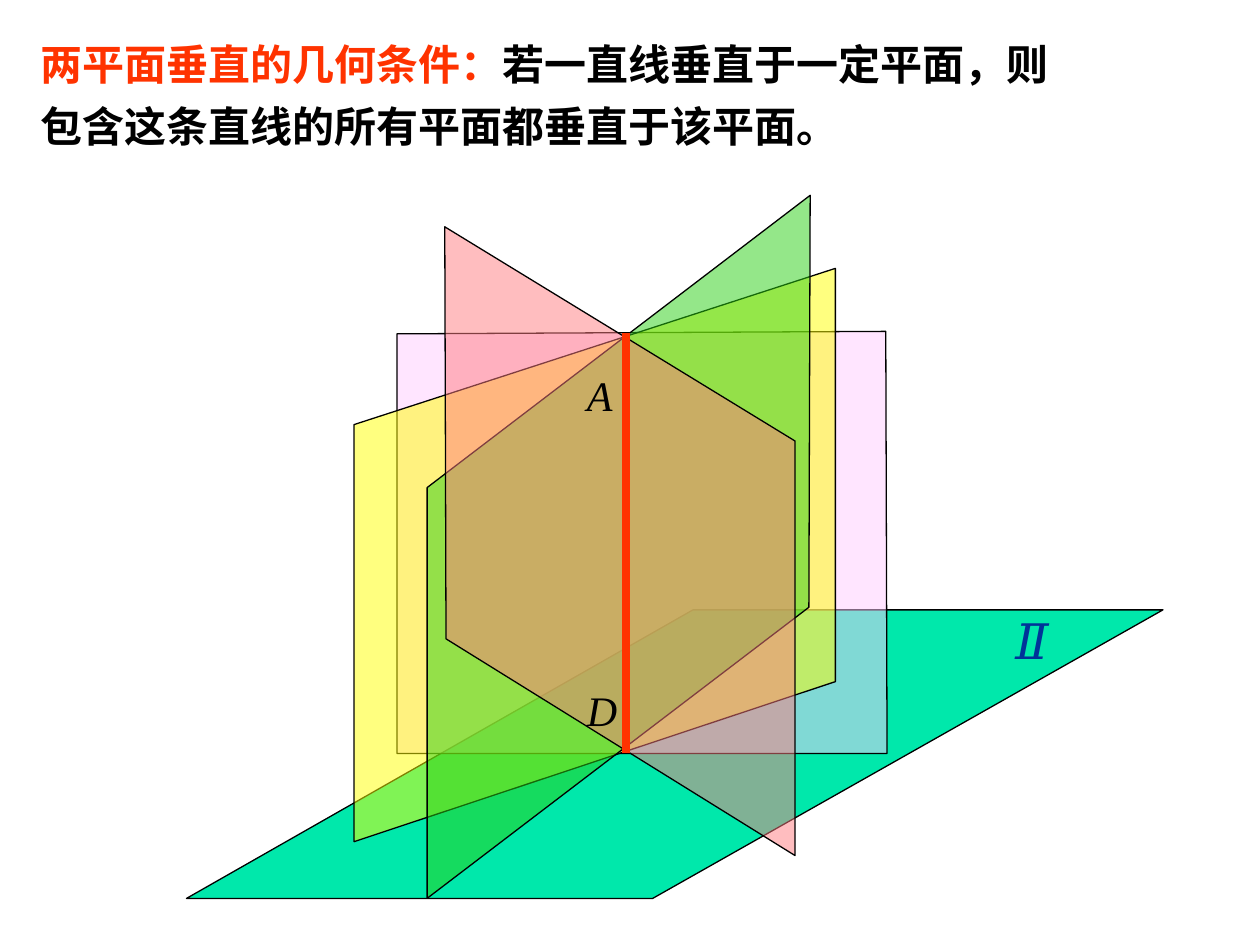
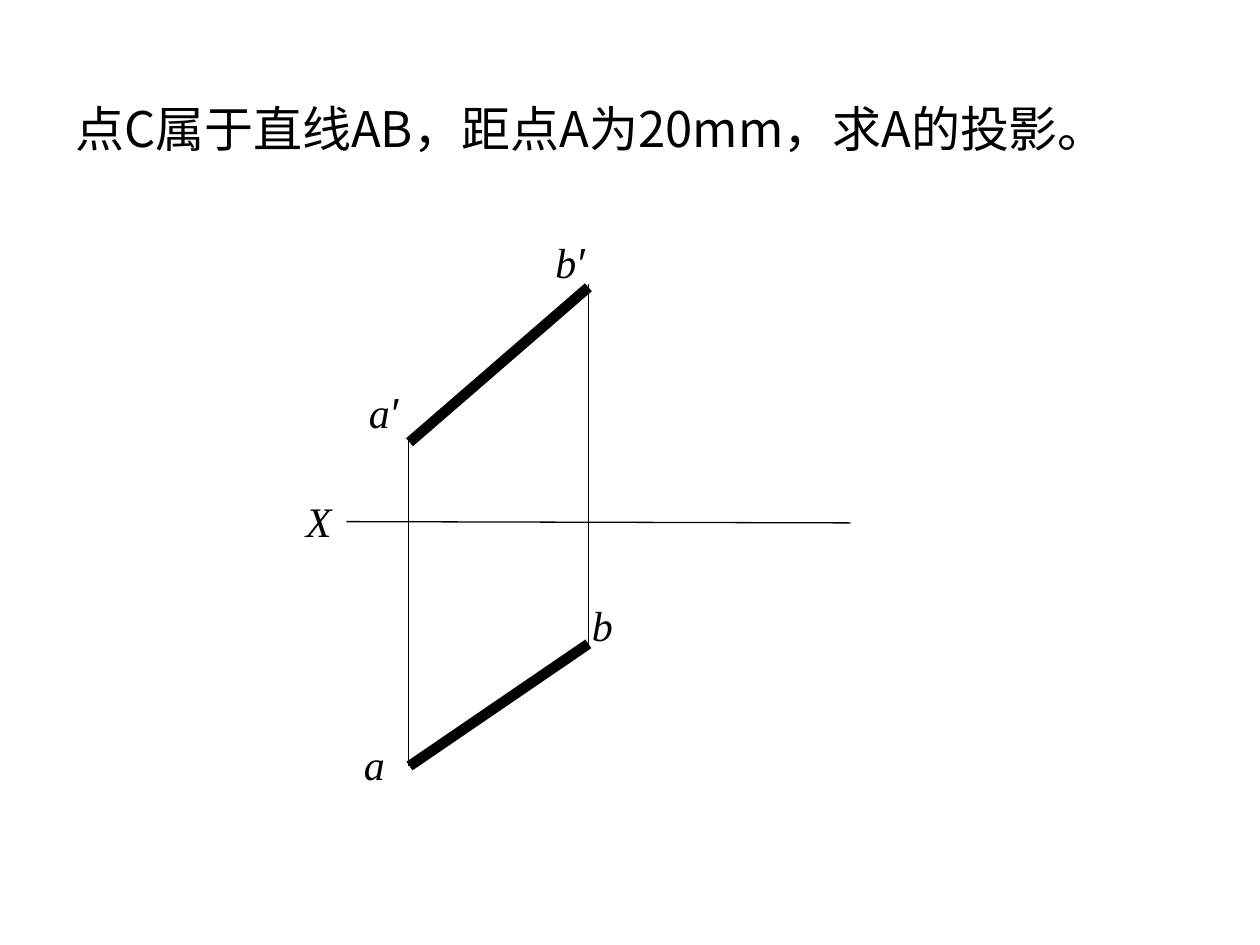
"""Builds two slides on perpendicular planes and points on a line."""
from lxml import etree
from pptx import Presentation
from pptx.dml.color import RGBColor
from pptx.enum.shapes import MSO_CONNECTOR
from pptx.enum.text import MSO_ANCHOR
from pptx.oxml.ns import qn
from pptx.util import Pt

PX = 9144
MIDDLE = MSO_ANCHOR.MIDDLE
TOP = MSO_ANCHOR.TOP
STRAIGHT = MSO_CONNECTOR.STRAIGHT
SANS, SERIF, HAN = "Arial", "Times New Roman", "Noto Sans CJK SC"
INK = {
    "black": "000000", "red": "FF3300", "blue": "003399", "ground": "00E8AB",
    "pink": "FFCCFF", "yellow": "FFFF00", "green": "2AD014", "rose": "FF7C80",
}


def tint(name):
    """Return the named colour."""
    return RGBColor.from_string(INK[name])


def style(run, face, size, hue="black", bold=False, slant=False):
    """Format one run."""
    font = run.font
    font.name, font.size = face, Pt(size)
    font.bold, font.italic = bold, slant
    font.color.rgb = tint(hue)


def frame(slide, box, anchor=TOP):
    """Add a wrapping text box and return its text frame."""
    text = slide.shapes.add_textbox(*(n * PX for n in box)).text_frame
    text.word_wrap = True
    text.vertical_anchor = anchor
    return text


def head(slide, box, parts, anchor=TOP, space=None):
    """Add a heading made of (text, style) parts."""
    para = frame(slide, box, anchor).paragraphs[0]
    para.line_spacing = space
    for words, look in parts:
        run = para.add_run()
        run.text = words
        style(run, **look)
        east = etree.SubElement(run.font._element, qn("a:ea"))
        east.set("typeface", HAN)


def label(slide, box, words, size=24, hue="black"):
    """Add an italic label, with any prime mark in the sans font."""
    para = frame(slide, box).paragraphs[0]
    for sign in words:
        run = para.add_run()
        run.text = sign
        style(run, SANS if sign == "′" else SERIF, size, hue, slant=True)


def stroke(slide, box, ends, width=0.75, hue="black"):
    """Draw a straight line between two points of the box."""
    x, y = box[:2]
    (ax, ay), (bx, by) = ends
    line = slide.shapes.add_connector(
        STRAIGHT, (x + ax) * PX, (y + ay) * PX, (x + bx) * PX, (y + by) * PX)
    line.line.color.rgb = tint(hue)
    line.line.width = Pt(width)
    etree.SubElement(line._element.spPr, qn("a:effectLst"))


def plane(slide, box, hue, points, clear=True):
    """Draw an outlined plane, half transparent when clear."""
    pen = slide.shapes.build_freeform(*points[0], scale=PX)
    pen.add_line_segments(points[1:], close=True)
    shape = pen.convert_to_shape(box[0] * PX, box[1] * PX)
    shape.shadow.inherit = False
    shape.fill.solid()
    shape.fill.fore_color.rgb = tint(hue)
    shape.line.color.rgb = tint("black")
    shape.line.width = Pt(0.75)
    if clear:
        color = shape._element.spPr.find(qn("a:solidFill"))[0]
        etree.SubElement(color, qn("a:alpha")).set("val", "50000")


def fan(slide, box):
    """Draw the planes through line AD, all square to plane Ⅱ."""
    x, y = box[:2]
    plane(slide, box, "ground",
          [(0, 558), (370, 558), (775, 329), (402, 329)], clear=False)
    label(slide, (x + 648, y + 325, 46, 57), "Ⅱ", 28, "blue")
    walls = {
        "pink": [(167, 110), (167, 443), (556, 443), (555, 108)],
        "yellow": [(133, 182), (133, 513), (515, 386), (515, 58)],
        "green": [(191, 232), (191, 558), (494, 327), (495, 0)],
        "rose": [(205, 25), (206, 352), (483, 524), (483, 195)],
    }
    for hue, points in walls.items():
        plane(slide, box, hue, points)
    for name, top in (("A", 133), ("D", 383)):
        label(slide, (x + 308, y + top, 60, 50), name)
    stroke(slide, box, [(349, 109), (349, 443)], 4.5, "red")


def views(slide, box):
    """Draw both projections of line AB about the X axis."""
    x, y = box[:2]
    thin = [
        [(91, 425), (91, 166)],
        [(442, 232), (42, 231)],
        [(234, 329), (234, 42)],
    ]
    thick = [[(234, 45), (92, 168)], [(92, 425), (234, 328)]]
    for width, lines in ((0.75, thin), (6, thick)):
        for ends in lines:
            stroke(slide, box, ends, width)
    names = [("X", 0, 205, 113), ("b′", 198, 0, 92), ("a′", 50, 119, 70),
             ("a", 46, 398, 58), ("b", 227, 288, 63)]
    for name, left, top, wide in names:
        label(slide, (x + left, y + top, wide, 50), name)


def main():
    """Build and save the deck."""
    deck = Presentation()
    deck.slide_width, deck.slide_height = 1000 * PX, 750 * PX
    blank = deck.slide_layouts[6]

    slide = deck.slides.add_slide(blank)
    fan(slide, (148, 155, 775, 558))
    bold = {"face": SANS, "size": 24, "bold": True}
    head(slide, (22, 16, 834, 130), [
        ("两平面垂直的几何条件：", {**bold, "hue": "red"}),
        ("若一直线垂直于一定平面，则包含这条直线的所有平面都垂直于该平面。", bold),
    ], space=1.24)

    slide = deck.slides.add_slide(blank)
    head(slide, (50, 30, 900, 125), [
        ("点C属于直线AB，距点A为20mm，求A的投影。", {"face": HAN, "size": 28}),
        (" ", {"face": SANS, "size": 44}),
    ], MIDDLE)
    views(slide, (233, 183, 442, 448))
    deck.save("out.pptx")


if __name__ == "__main__":
    main()
